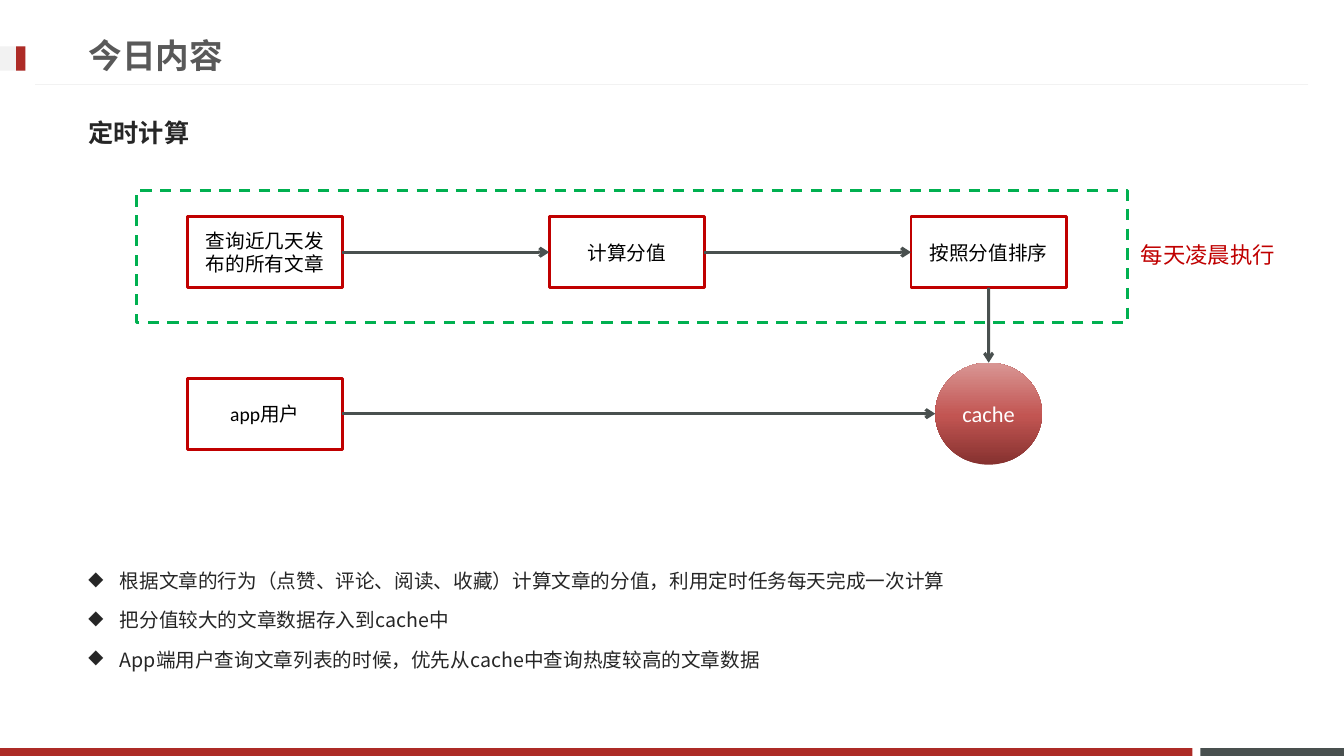
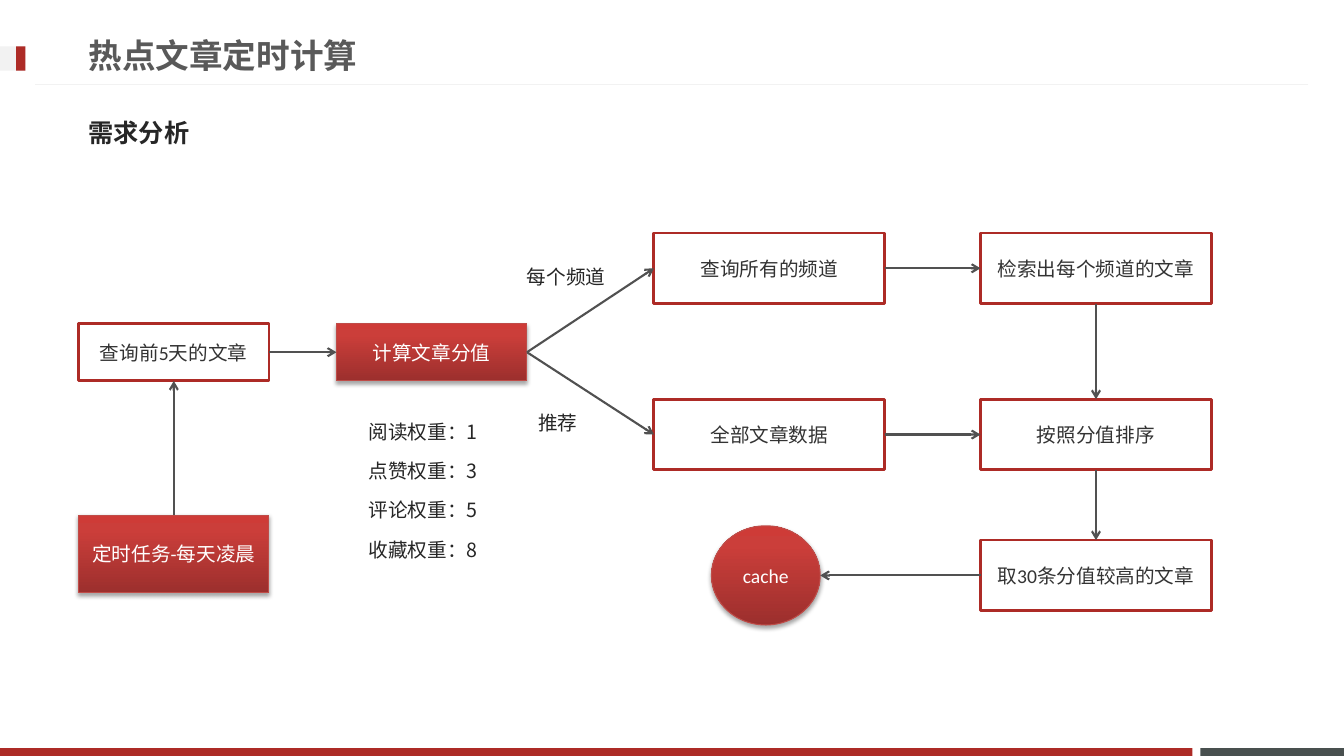
from copy import deepcopy

from lxml import etree
from pptx import Presentation
from pptx.dml.color import RGBColor
from pptx.enum import dml, lang, shapes, text
from pptx.oxml.ns import qn
from pptx.util import Cm, Pt

RED = RGBColor(0xAD, 0x2B, 0x26)
BRIGHT_RED = RGBColor(0xC0, 0x00, 0x00)
EDGE_RED = RGBColor(0xBF, 0x4C, 0x48)
GREEN = RGBColor(0x00, 0xB0, 0x50)
SLATE = RGBColor(0x49, 0x50, 0x4F)
ARROW_GREY = RGBColor(0x51, 0x51, 0x51)
TITLE_GREY = RGBColor(0x59, 0x59, 0x59)
INK = RGBColor(0x26, 0x26, 0x26)
BOX_INK = RGBColor(0x33, 0x33, 0x33)
PALE = RGBColor(0xF2, 0xF2, 0xF2)
WHITE = RGBColor(0xFF, 0xFF, 0xFF)
BLACK = RGBColor(0x00, 0x00, 0x00)
ROSE_STOPS = [(0, RGBColor(0x85, 0x31, 0x2F)), (0.48, RGBColor(0xC2, 0x55, 0x52)),
              (1, RGBColor(0xD9, 0x96, 0x94))]
RED_STOPS = [(0, RGBColor(0x9C, 0x2F, 0x2D)), (0.8, RGBColor(0xCB, 0x3E, 0x3A)),
             (1, RGBColor(0xCE, 0x3B, 0x37))]

BODY_FONT, TITLE_FONT, BOX_FONT = "Noto Sans CJK JP", "Lato", "Calibri"
RECT, OVAL = shapes.MSO_SHAPE.RECTANGLE, shapes.MSO_SHAPE.OVAL
MIDDLE, TOP_ANCHOR = text.MSO_ANCHOR.MIDDLE, text.MSO_ANCHOR.TOP
TOP, LEFT, BOTTOM, RIGHT = range(4)
SIDE_POINTS = [(0.5, 0), (0, 0.5), (0.5, 1), (1, 0.5)]


def write(shape, lines, size, color, font=BODY_FONT, bold=False, align=text.PP_ALIGN.LEFT,
          anchor=TOP_ANCHOR, loose=False):
    """Fill a shape with one paragraph per line; loose text gets wide line spacing."""
    frame = shape.text_frame
    frame.word_wrap = True
    frame.vertical_anchor = anchor
    frame.text = "\n".join(lines)
    for para in frame.paragraphs:
        para.alignment = align
        para.font.name, para.font.size, para.font.bold = font, Pt(size), bold
        para.font.color.rgb = color
        para.font.language_id = lang.MSO_LANGUAGE_ID.SIMPLIFIED_CHINESE
        if loose:
            para.line_spacing = Pt(size * 1.8)
            para.space_before = Pt(size * 0.2)


def link(page, start, start_side, end, end_side, color, width):
    """Draw an arrow between the middles of two sides, joined where they are rectangles."""
    points = []
    for shape, side in ((start, start_side), (end, end_side)):
        across, down = SIDE_POINTS[side]
        points += [int(shape.left + across * shape.width), int(shape.top + down * shape.height)]
    arrow = page.shapes.add_connector(shapes.MSO_CONNECTOR.STRAIGHT, *points)
    if start.auto_shape_type == RECT:
        arrow.begin_connect(start, start_side)
    if end.auto_shape_type == RECT:
        arrow.end_connect(end, end_side)
    arrow.line.color.rgb = color
    arrow.line.width = Pt(width)
    properties = arrow._element.spPr
    etree.SubElement(properties.find(qn("a:ln")), qn("a:tailEnd"), type="arrow")
    etree.SubElement(properties, qn("a:effectLst"))


deck = Presentation()
deck.slide_width, deck.slide_height = Cm(33.87), Cm(19.05)

# Shared frame: bands, marker, divider, title and subtitle
BANDS = [
    (30.25, 18.85, 3.62, 0.2, SLATE),
    (0, 18.85, 30.05, 0.2, RED),
    (0, 1.17, 0.64, 0.61, PALE),
    (0.41, 1.17, 0.23, 0.61, RED),
]
pages = []
for title, subtitle in [("今日内容", "定时计算"), ("热点文章定时计算", "需求分析")]:
    page = deck.slides.add_slide(deck.slide_layouts[6])
    pages.append(page)
    for *place, color in BANDS:
        band = page.shapes.add_shape(RECT, *map(Cm, place))
        band.shadow.inherit = False
        band.fill.solid()
        band.fill.fore_color.rgb = color
        band.line.fill.background()
    divider = page.shapes.add_connector(
        shapes.MSO_CONNECTOR.STRAIGHT, Cm(32.97), Cm(2.13), Cm(0.89), Cm(2.13))
    divider.line.color.rgb = PALE
    divider.line.width = Pt(0.75)
    etree.SubElement(divider._element.spPr, qn("a:effectLst"))
    heading = page.shapes.add_textbox(Cm(1.98), Cm(0.66), Cm(24.36), Cm(1.45))
    write(heading, [title], 24, TITLE_GREY, TITLE_FONT, bold=True, anchor=MIDDLE)
    subheading = page.shapes.add_textbox(Cm(1.98), Cm(2.62), Cm(29.72), Cm(1.45))
    write(subheading, [subtitle], 18, INK, bold=True, anchor=MIDDLE)
overview, analysis = pages

# Boxes: (gradient stops, line colour, line width, text colour, text size, shadow)
STEP = (None, BRIGHT_RED, 2, BLACK, 14, False)
STORE = (ROSE_STOPS, None, 0, WHITE, 16, False)
TASK = (None, RED, 2, BOX_INK, 14, False)
KEY_TASK = (RED_STOPS, EDGE_RED, 0.75, WHITE, 14, True)

STEP_SIZE, WIDE, SMALL = (3.91, 1.79), (5.82, 1.78), (4.8, 1.45)
STEP_X = [4.72 + 9.12 * column for column in range(3)]
MID_X, RIGHT_X = 16.48, 24.71
NODES = {
    "recent": (overview, RECT, STEP, "查询近几天发布的所有文章", STEP_X[0], 5.46, *STEP_SIZE),
    "score": (overview, RECT, STEP, "计算分值", STEP_X[1], 5.46, *STEP_SIZE),
    "sort": (overview, RECT, STEP, "按照分值排序", STEP_X[2], 5.46, *STEP_SIZE),
    "store": (overview, OVAL, STORE, "cache", 23.57, 9.14, 2.69, 2.57),
    "user": (overview, RECT, STEP, "app用户", STEP_X[0], 9.53, *STEP_SIZE),
    "five days": (analysis, RECT, TASK, "查询前5天的文章", 1.98, 8.15, *SMALL),
    "weigh": (analysis, RECT, KEY_TASK, "计算文章分值", 8.48, 8.15, *SMALL),
    "timer": (analysis, RECT, KEY_TASK, "定时任务-每天凌晨", 1.98, 12.98, 4.8, 1.96),
    "channels": (analysis, RECT, TASK, "查询所有的频道", MID_X, 5.87, *WIDE),
    "all": (analysis, RECT, TASK, "全部文章数据", MID_X, 10.06, *WIDE),
    "by channel": (analysis, RECT, TASK, "检索出每个频道的文章", RIGHT_X, 5.87, *WIDE),
    "rank": (analysis, RECT, TASK, "按照分值排序", RIGHT_X, 10.06, *WIDE),
    "top 30": (analysis, RECT, TASK, "取30条分值较高的文章", RIGHT_X, 13.61, *WIDE),
    "result": (analysis, OVAL, KEY_TASK, "cache", 17.93, 13.25, 2.74, 2.5),
}
boxes = {}
for name, (page, preset, style, label, *place) in NODES.items():
    stops, line_color, line_width, text_color, size, shadow = style
    box = page.shapes.add_shape(preset, *map(Cm, place))
    boxes[name] = box
    box.shadow.inherit = False
    if stops:
        box.fill.gradient()
        box.fill.gradient_angle = 90
        stop_list = box._element.spPr.find(qn("a:gradFill")).find(qn("a:gsLst"))
        stop_list.append(deepcopy(stop_list[0]))
        for stop, (position, color) in zip(box.fill.gradient_stops, stops):
            stop.position = position
            stop.color.rgb = color
    else:
        box.fill.background()
    if line_color:
        box.line.color.rgb = line_color
        box.line.width = Pt(line_width)
    else:
        box.line.fill.background()
    if shadow:
        effects = box._element.spPr.find(qn("a:effectLst"))
        outer = etree.SubElement(effects, qn("a:outerShdw"), blurRad=str(Pt(3.1)),
                                 dist=str(Pt(1.8)), dir="5400000", rotWithShape="0")
        shade = etree.SubElement(outer, qn("a:srgbClr"), val="000000")
        etree.SubElement(shade, qn("a:alpha"), val="35000")
    write(box, [label], size, text_color, BOX_FONT, align=text.PP_ALIGN.CENTER, anchor=MIDDLE)

# Arrows
for page, color, width, links in [
    (overview, SLATE, 2.25, [
        ("recent", RIGHT, "score", LEFT),
        ("score", RIGHT, "sort", LEFT),
        ("sort", BOTTOM, "store", TOP),
        ("user", RIGHT, "store", LEFT),
    ]),
    (analysis, ARROW_GREY, 1.5, [
        ("timer", TOP, "five days", BOTTOM),
        ("five days", RIGHT, "weigh", LEFT),
        ("weigh", RIGHT, "channels", LEFT),
        ("weigh", RIGHT, "all", LEFT),
        ("channels", RIGHT, "by channel", LEFT),
        ("all", RIGHT, "rank", LEFT),
        ("by channel", BOTTOM, "rank", TOP),
        ("rank", BOTTOM, "top 30", TOP),
        ("top 30", LEFT, "result", RIGHT),
    ]),
]:
    for start, start_side, end, end_side in links:
        link(page, boxes[start], start_side, boxes[end], end_side, color, width)

# Dashed frame around the nightly steps
nightly = overview.shapes.add_shape(RECT, Cm(3.45), Cm(4.8), Cm(24.97), Cm(3.33))
nightly.shadow.inherit = False
nightly.fill.background()
nightly.line.color.rgb = GREEN
nightly.line.width = Pt(2)
nightly.line.dash_style = dml.MSO_LINE.DASH

# Free text
BULLETS = [
    "根据文章的行为（点赞、评论、阅读、收藏）计算文章的分值，利用定时任务每天完成一次计算",
    "把分值较大的文章数据存入到cache中",
    "App端用户查询文章列表的时候，优先从cache中查询热度较高的文章数据",
]
WEIGHTS = [("阅读", 1), ("点赞", 3), ("评论", 5), ("收藏", 8)]
for page, lines, size, color, *place in [
    (overview, ["每天凌晨执行"], 16, BRIGHT_RED, 28.5, 5.61, 4.2, 1.52),
    (analysis, [f"{action}权重：{weight}" for action, weight in WEIGHTS], 14, INK,
     9.04, 10.16, 3.71, 4.55),
    (analysis, ["每个频道"], 14, INK, 13.03, 6.25, 2.64, 1.09),
    (analysis, ["推荐"], 14, INK, 13.31, 9.93, 2.36, 1.09),
]:
    write(page.shapes.add_textbox(*map(Cm, place)), lines, size, color, loose=True)

summary = overview.shapes.add_textbox(Cm(1.98), Cm(13.92), Cm(29.72), Cm(4.19))
write(summary, BULLETS, 14, INK, loose=True)
for para in summary.text_frame.paragraphs:
    properties = para._p.get_or_add_pPr()
    properties.set("marL", str(Cm(0.79)))
    properties.set("indent", str(-Cm(0.79)))
    bullet = etree.Element(qn("a:buChar"), char="◆")
    properties.find(qn("a:defRPr")).addprevious(bullet)

deck.save("out.pptx")
